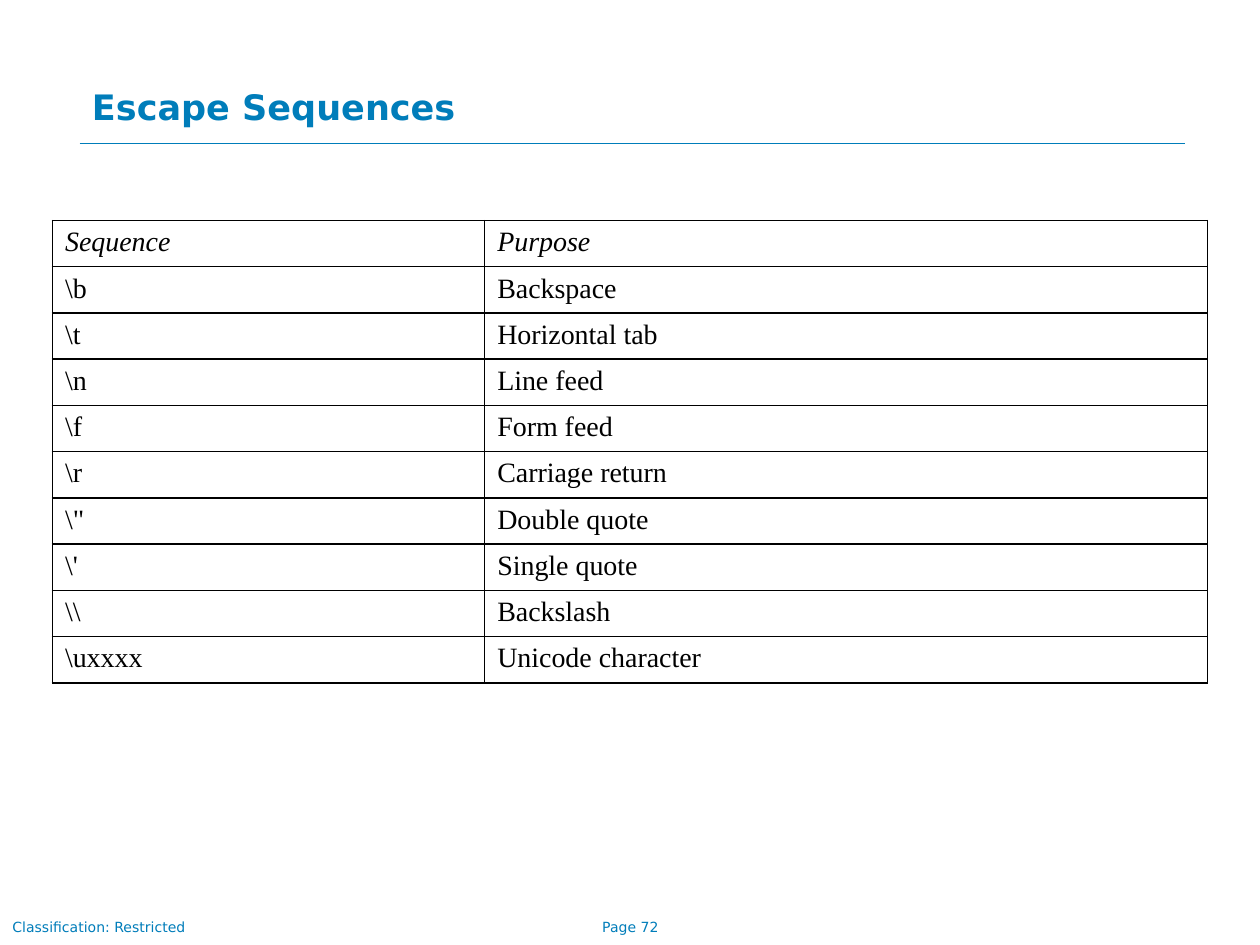
"""Build a slide with a table of escape sequences."""
from lxml.etree import SubElement
from pptx import Presentation
from pptx.dml.color import RGBColor
from pptx.enum.shapes import MSO_CONNECTOR as Connector
from pptx.enum.text import MSO_ANCHOR as Anchor, PP_ALIGN as Align
from pptx.oxml.ns import qn
from pptx.util import Pt

COLORS = {"accent": "007DBA", "ink": "000000"}
HEADING_FONT, TABLE_FONT = "DejaVu Sans", "Times New Roman"

TITLE = "Escape Sequences"
CLASSIFICATION = "Classification: Restricted"
PAGE = "Page 72"
ROWS = [
    ("Sequence", "Purpose"),
    (r"\b", "Backspace"),
    (r"\t", "Horizontal tab"),
    (r"\n", "Line feed"),
    (r"\f", "Form feed"),
    (r"\r", "Carriage return"),
    (r"\"", "Double quote"),
    (r"\'", "Single quote"),
    (r"\\", "Backslash"),
    (r"\uxxxx", "Unicode character"),
]
COLUMN_WIDTHS = (247, 413)
ROW_HEIGHT = 26.4
TABLE_LEFT, TABLE_TOP = 30, 126
RULE_LEFT, RULE_RIGHT, RULE_Y = 45.5, 677, 82


def style(paragraph, font_name, size, color, bold=False, italic=False):
    font = paragraph.font
    font.name, font.size, font.bold, font.italic = font_name, Pt(size), bold, italic
    font.color.rgb = RGBColor.from_string(COLORS[color])


def add_label(slide, text, box, size, bold=False, align=Align.LEFT, wrap=True):
    frame = slide.shapes.add_textbox(*map(Pt, box)).text_frame
    frame.word_wrap = wrap
    frame.text = text
    paragraph = frame.paragraphs[0]
    paragraph.alignment = align
    style(paragraph, HEADING_FONT, size, "accent", bold)


def add_rule(slide):
    rule = slide.shapes.add_connector(
        Connector.STRAIGHT, Pt(RULE_LEFT), Pt(RULE_Y), Pt(RULE_RIGHT), Pt(RULE_Y))
    rule.line.width = Pt(0.5)
    rule.line.color.rgb = RGBColor.from_string(COLORS["accent"])
    SubElement(rule.element.spPr, qn("a:effectLst"))


def set_borders(cell):
    properties = cell._tc.get_or_add_tcPr()
    for position, side in enumerate(("lnL", "lnR", "lnT", "lnB")):
        line = SubElement(properties, qn(f"a:{side}"), w=str(Pt(1)))
        properties.insert(position, line)
        fill = SubElement(line, qn("a:solidFill"))
        SubElement(fill, qn("a:srgbClr"), val=COLORS["ink"])


def add_sequence_table(slide):
    table = slide.shapes.add_table(
        len(ROWS), len(COLUMN_WIDTHS), Pt(TABLE_LEFT), Pt(TABLE_TOP),
        Pt(sum(COLUMN_WIDTHS)), Pt(ROW_HEIGHT * len(ROWS))).table
    table.first_row = table.horz_banding = False
    for column, width in zip(table.columns, COLUMN_WIDTHS):
        column.width = Pt(width)
    for row_index, (row, texts) in enumerate(zip(table.rows, ROWS)):
        row.height = Pt(ROW_HEIGHT)
        for cell, text in zip(row.cells, texts):
            cell.text = text
            cell.vertical_anchor = Anchor.TOP
            cell.fill.background()
            style(cell.text_frame.paragraphs[0], TABLE_FONT, 16, "ink",
                  italic=row_index == 0)
            set_borders(cell)


def main():
    presentation = Presentation()
    presentation.slide_width, presentation.slide_height = Pt(720), Pt(540)
    slide = presentation.slides.add_slide(presentation.slide_layouts[6])
    add_rule(slide)
    add_label(slide, PAGE, (309.5, 521.5, 101.5, 16.5), 8, align=Align.CENTER)
    add_label(slide, CLASSIFICATION, (0, 521.5, 113.5, 16.5), 8, wrap=False)
    add_sequence_table(slide)
    add_label(slide, TITLE, (45.5, 45.5, 632, 36.5), 20, bold=True)
    presentation.save("out.pptx")


if __name__ == "__main__":
    main()
